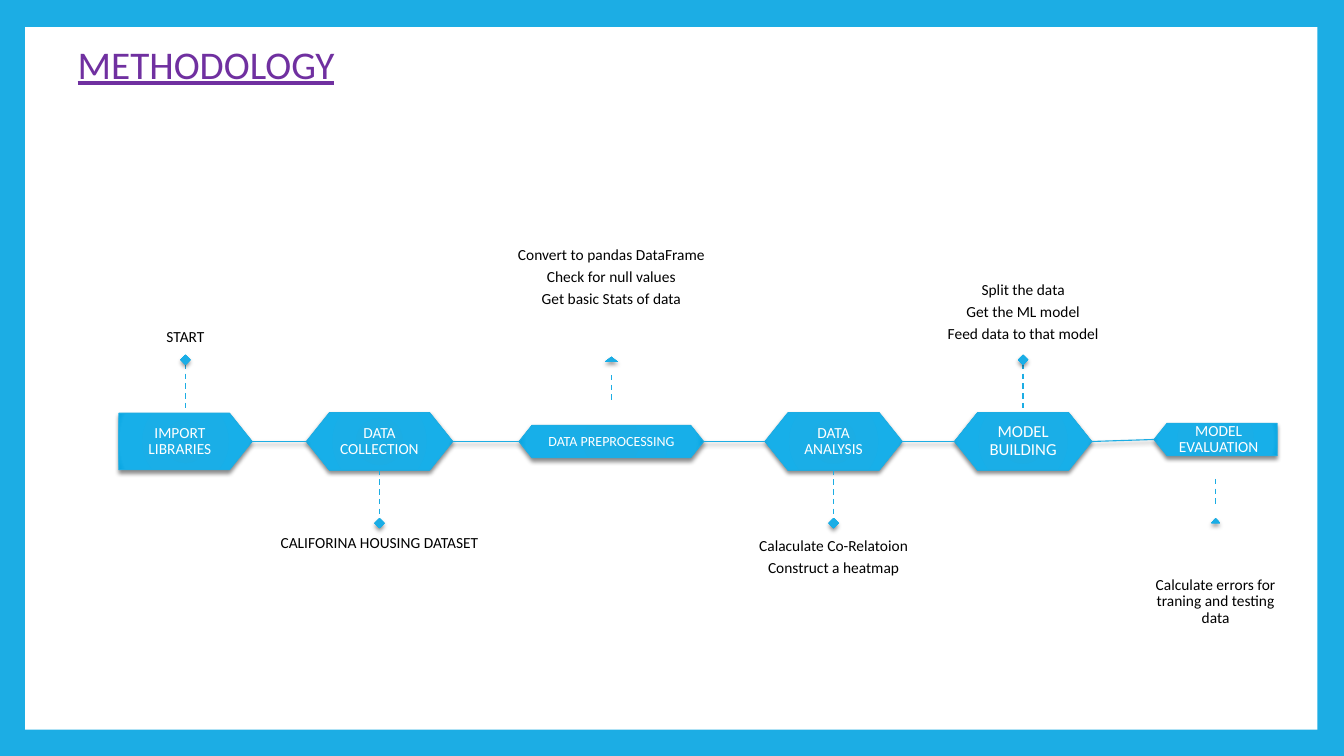
from dataclasses import dataclass

from lxml import etree
from pptx import Presentation
from pptx.dml.color import RGBColor
from pptx.enum.dml import MSO_LINE
from pptx.enum.shapes import MSO_CONNECTOR, MSO_SHAPE
from pptx.enum.text import MSO_ANCHOR, MSO_AUTO_SIZE, PP_ALIGN
from pptx.oxml import parse_xml
from pptx.oxml.ns import nsdecls, qn
from pptx.util import Inches, Pt

HEXAGON, PENTAGON = MSO_SHAPE.HEXAGON, MSO_SHAPE.PENTAGON
DIAMOND, TRIANGLE = MSO_SHAPE.DIAMOND, MSO_SHAPE.ISOSCELES_TRIANGLE
RECTANGLE, STRAIGHT = MSO_SHAPE.RECTANGLE, MSO_CONNECTOR.STRAIGHT
TOP, MIDDLE, BOTTOM = MSO_ANCHOR.TOP, MSO_ANCHOR.MIDDLE, MSO_ANCHOR.BOTTOM
CENTER, DASH = PP_ALIGN.CENTER, MSO_LINE.DASH
FIT_SHAPE = MSO_AUTO_SIZE.SHAPE_TO_FIT_TEXT

FONT = "Calibri"
COLORS = {
    "accent": "1CADE4", "middle": "17AFE9", "edge": "07A5E1",
    "paper": "FFFFFF", "title": "7030A0", "text": "000000",
}
COLUMNS, ROWS = 133.33, 75
CELL = Inches(0.1)
AXIS = 43.8


@dataclass
class Callout:
    """The note of a step with its dashed stem and marker, in grid rows."""
    lines: list
    top: float
    height: float
    anchor: int
    stem: tuple
    marker: int
    marker_top: float
    marker_size: tuple
    width: float = 20.2


@dataclass
class Step:
    """One stage of the process, in grid columns and rows."""
    name: str
    left: float
    width: float
    height: float
    callout: Callout
    outline: int = HEXAGON
    label_insets: tuple = (1.9, 1.9)
    size: int = 11
    axis: float = AXIS
    rotation: int = 0


def above(lines):
    """Return a callout that stands on top of its step."""
    return Callout(lines, 20.1, 15, BOTTOM, (36.1, 40.9), DIAMOND, 35.2, (1, 1))


def below(lines):
    """Return a callout that hangs under its step."""
    return Callout(lines, 52.3, 15.2, TOP, (46.6, 51.4), DIAMOND, 51.4, (1, 1))


STEPS = [
    Step("IMPORT LIBRARIES", 11.8, 13.2, 5.6, above(["START"]), PENTAGON, (0, 1.1)),
    Step("DATA COLLECTION", 30.4, 14.5, 5.7, below(["CALIFORINA HOUSING DATASET"])),
    Step("DATA PREPROCESSING", 51.5, 18.3, 3.2,
         Callout(["Convert to pandas DataFrame", "Check for null values",
                  "Get basic Stats of data"], 24.2, 6.7, MIDDLE,
                 (37.2, 39.9), TRIANGLE, 35.4, (1.3, 0.5)), size=10),
    Step("DATA ANALYSIS", 75.9, 13.6, 5.7,
         below(["Calaculate Co-Relatoion", "Construct a heatmap"])),
    Step("MODEL BUILDING", 94.7, 13.6, 5.7,
         above(["Split the data", "Get the ML model", "Feed data to that model"]),
         size=12),
    Step("MODEL EVALUATION", 114.5, 12.2, 3.2,
         Callout(["Calculate errors for traning and testing data"], 56.5, 6.4, MIDDLE,
                 (47.5, 50.2), TRIANGLE, 51.4, (0.9, 0.5), 12.6),
         PENTAGON, (0.6, 0), axis=43.6, rotation=180),
]


def color(name):
    """Return a palette colour."""
    return RGBColor.from_string(COLORS[name])


def cells(*lengths):
    """Turn grid lengths into slide units."""
    return [round(length * CELL) for length in lengths]


def add_shadow(shape):
    """Give a shape or connector a soft shadow below it."""
    properties = shape._element.spPr
    effects = properties.find(qn("a:effectLst"))
    if effects is None:
        effects = etree.SubElement(properties, qn("a:effectLst"))
    effects.append(parse_xml(
        f'<a:outerShdw {nsdecls("a")} blurRad="38100" dist="25400" dir="5400000" '
        'rotWithShape="0"><a:srgbClr val="000000"><a:alpha val="45000"/>'
        '</a:srgbClr></a:outerShdw>'))


def add_glossy_shape(slide, outline, box, outlined):
    """Add a shape with the accent gradient and shadow."""
    shape = slide.shapes.add_shape(outline, *cells(*box))
    shape.shadow.inherit = False
    if outlined:
        shape.adjustments[0] = 0.4
        shape.line.color.rgb = color("accent")
        shape.line.width = Pt(0.79)
    else:
        shape.line.fill.background()
    stops = "".join(
        f'<a:gs pos="{share * 1000}"><a:srgbClr val="{COLORS[name]}"/></a:gs>'
        for share, name in ((0, "accent"), (90, "middle"), (100, "edge")))
    shape._element.spPr.insert(2, parse_xml(
        f'<a:gradFill {nsdecls("a")} rotWithShape="1"><a:gsLst>{stops}</a:gsLst>'
        '<a:path path="circle"><a:fillToRect l="100000" t="100000" r="100000" '
        'b="100000"/></a:path></a:gradFill>'))
    add_shadow(shape)
    return shape


def add_line(slide, start, end, width):
    """Add a straight accent line between two grid points."""
    line = slide.shapes.add_connector(STRAIGHT, *cells(*start, *end))
    line.line.color.rgb = color("accent")
    line.line.width = Pt(width)
    etree.SubElement(line._element.spPr, qn("a:effectLst"))
    return line


def add_text(slide, box, lines, size, color_name, anchor, insets):
    """Add centred paragraphs in a wrapped text box."""
    frame = slide.shapes.add_textbox(*cells(*box)).text_frame
    frame.word_wrap = True
    frame.vertical_anchor = anchor
    side, end = cells(*insets)
    frame.margin_left = frame.margin_right = side
    frame.margin_top = frame.margin_bottom = end
    frame.text = "\n".join(lines)
    for para in frame.paragraphs:
        para.alignment = CENTER
        para.line_spacing = 0.9
        para.space_after = Pt(size * 0.35)
        para.font.name = FONT
        para.font.size = Pt(size)
        para.font.color.rgb = color(color_name)


def add_callout(slide, callout, center):
    """Add the note, stem and marker centred on a step."""
    add_text(slide, (center - callout.width / 2, callout.top, callout.width, callout.height),
             callout.lines, 11, "text", callout.anchor, (0, 1.1))
    stem_top, stem_bottom = callout.stem
    stem = add_line(slide, (center, stem_top), (center, stem_bottom), 1)
    stem.line.dash_style = DASH
    width, height = callout.marker_size
    add_glossy_shape(slide, callout.marker,
                     (center - width / 2, callout.marker_top, width, height), False)


def add_step(slide, step):
    """Add a step with its label and callout."""
    top = step.axis - step.height / 2
    shape = add_glossy_shape(slide, step.outline,
                             (step.left, top, step.width, step.height), True)
    shape.rotation = step.rotation
    before, after = step.label_insets
    add_text(slide, (step.left + before, top, step.width - before - after, step.height),
             [step.name], step.size, "paper", MIDDLE, (0.9, 0))
    add_callout(slide, step.callout, step.left + step.width / 2)


def add_process(slide, steps):
    """Add all steps and the lines that link neighbours."""
    for step in steps:
        add_step(slide, step)
    for step, following in zip(steps, steps[1:]):
        link = add_line(slide, (step.left + step.width, step.axis),
                        (following.left, following.axis), 0.79)
        add_shadow(link)


def add_frame(slide, box):
    """Add the white page inside the coloured border."""
    slide.background.fill.solid()
    slide.background.fill.fore_color.rgb = color("accent")
    page = slide.shapes.add_shape(RECTANGLE, *cells(*box))
    page.shadow.inherit = False
    page.fill.solid()
    page.fill.fore_color.rgb = color("paper")
    page.line.fill.background()


def add_title(slide, box):
    """Add the underlined heading."""
    frame = slide.shapes.add_textbox(*cells(*box)).text_frame
    frame.word_wrap = False
    frame.auto_size = FIT_SHAPE
    frame.text = "METHODOLOGY"
    para = frame.paragraphs[0]
    para.alignment = CENTER
    font = para.runs[0].font
    font.name, font.size, font.underline = FONT, Pt(28), True
    font.color.rgb = color("title")


def main():
    """Build and save the deck."""
    deck = Presentation()
    deck.slide_width, deck.slide_height = cells(COLUMNS, ROWS)
    slide = deck.slides.add_slide(deck.slide_layouts[6])
    add_frame(slide, (2.5, 2.7, 128.2, 69.7))
    add_title(slide, (5.3, 3.5, 30.3, 5.7))
    add_process(slide, STEPS)
    deck.save("out.pptx")


if __name__ == "__main__":
    main()
